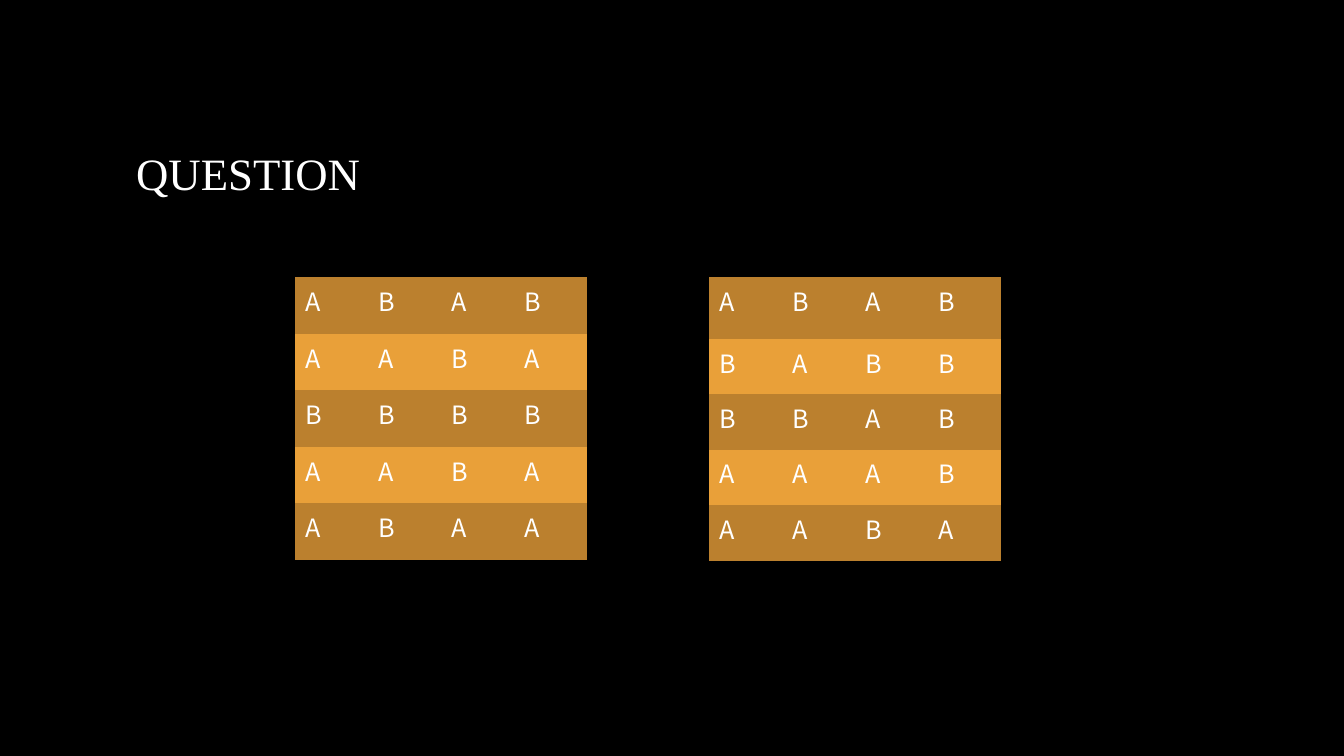
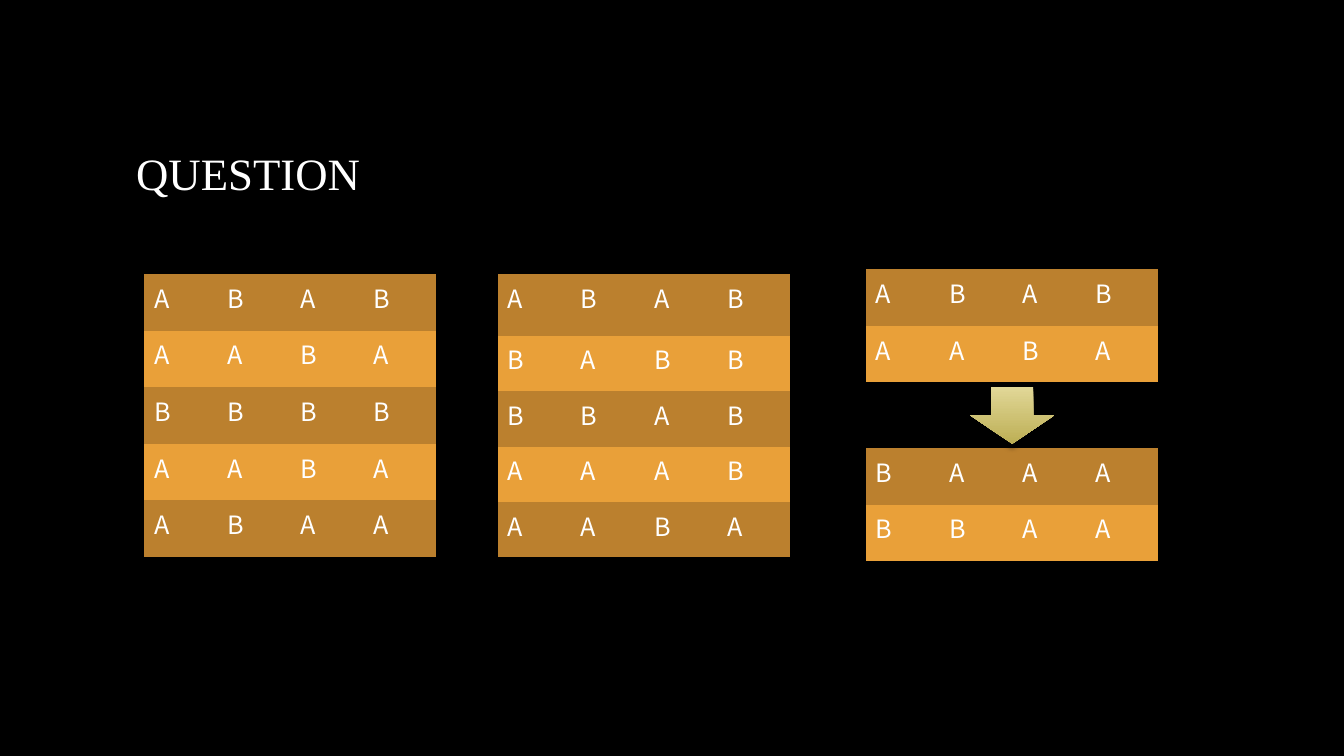
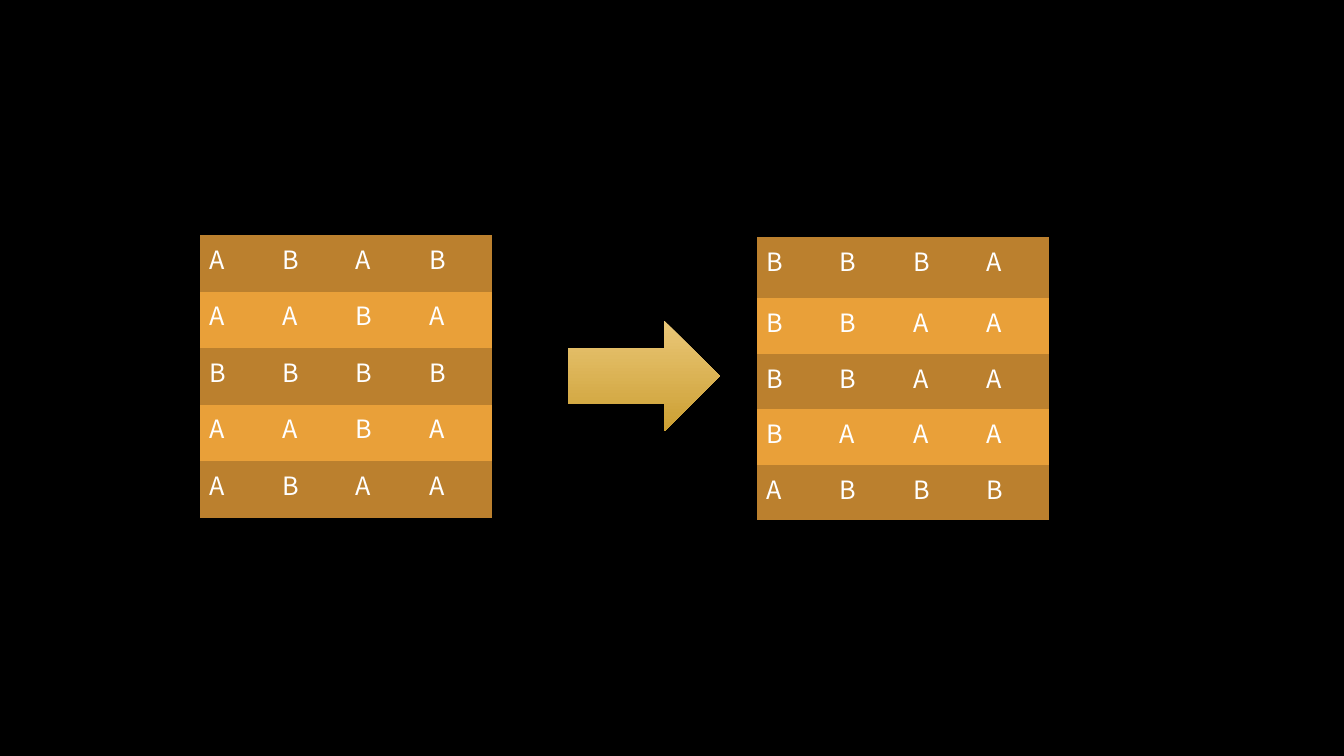
from dataclasses import dataclass

from lxml.etree import SubElement
from pptx import Presentation
from pptx.dml.color import RGBColor
from pptx.enum.shapes import MSO_SHAPE
from pptx.enum.text import MSO_ANCHOR, PP_ALIGN
from pptx.oxml.ns import qn
from pptx.slide import Slide
from pptx.util import Pt

# Shared look
BLACK, WHITE = "000000", "FFFFFF"
BANDS = ("BB802E", "E9A039")
TITLE_FONT, CELL_FONT = "Times New Roman", "Noto Sans CJK SC"
NO_STYLE = "{2D5ABB26-0587-4C30-8999-92F81FD0307C}"
TITLE_ONLY, BLANK = 5, 6
COLUMN_WIDTH, ROW_HEIGHT = 52.2, 40.4
TALL_ROW, SHORT_ROW = 44, 39.6

# Letter grids, one word per row
FIRST = "ABAB AABA BBBB AABA ABAA"
SECOND = "ABAB BABB BBAB AAAB AABA"
PAIR = "ABAB AABA"
PAIR_RESULT = "BAAA BBAA"
RESULT = "BBBA BBAA BBAA BAAA ABBB"


@dataclass
class Grid:
    letters: str
    left: float
    top: float
    first_row: float = ROW_HEIGHT
    other_rows: float = ROW_HEIGHT


@dataclass
class Arrow:
    kind: MSO_SHAPE
    left: float
    top: float
    width: float
    height: float
    light: str
    dark: str


@dataclass
class Page:
    title: str
    grids: list[Grid]
    arrows: list[Arrow]


PAGES = [
    Page("QUESTION", [
        Grid(FIRST, 210.8, 198),
        Grid(SECOND, 506.4, 198, TALL_ROW, SHORT_ROW),
    ], []),
    Page("QUESTION", [
        Grid(FIRST, 103, 195.8),
        Grid(SECOND, 355.6, 195.8, TALL_ROW, SHORT_ROW),
        Grid(PAIR, 618.5, 192.3),
        Grid(PAIR_RESULT, 618.5, 320),
    ], [Arrow(MSO_SHAPE.DOWN_ARROW, 693, 276.5, 60, 40.4, "E1D797", "BDAF55")]),
    Page("", [
        Grid(FIRST, 142.7, 167.9),
        Grid(RESULT, 540.6, 169.2, TALL_ROW, SHORT_ROW),
    ], [Arrow(MSO_SHAPE.RIGHT_ARROW, 406, 229, 108, 79.2, "EAC778", "CC9F32")]),
]


def rgb(value: str) -> RGBColor:
    return RGBColor.from_string(value)


def add_run(p, text: str, font: str, size: float) -> None:
    r = p.add_run()
    r.text = text
    r.font.name = font
    r.font.size = Pt(size)
    r.font.color.rgb = rgb(WHITE)


def set_title(s: Slide, text: str) -> None:
    sp = s.shapes.title
    sp.left, sp.top, sp.width, sp.height = Pt(90), Pt(48), Pt(780), Pt(150)
    tf = sp.text_frame
    tf.vertical_anchor = MSO_ANCHOR.MIDDLE
    p = tf.paragraphs[0]
    p.alignment = PP_ALIGN.LEFT
    add_run(p, text, TITLE_FONT, 32)


def draw_grid(s: Slide, grid: Grid) -> None:
    rows = grid.letters.split()
    columns = len(rows[0])
    height = grid.first_row + grid.other_rows * (len(rows) - 1)
    table = s.shapes.add_table(len(rows), columns, Pt(grid.left), Pt(grid.top),
                               Pt(COLUMN_WIDTH * columns), Pt(height)).table
    table.first_row = table.horz_banding = False
    table._tbl.tblPr.find(qn("a:tableStyleId")).text = NO_STYLE
    for column in table.columns:
        column.width = Pt(COLUMN_WIDTH)
    for i, row in enumerate(rows):
        table.rows[i].height = Pt(grid.other_rows if i else grid.first_row)
        for j, letter in enumerate(row):
            cell = table.cell(i, j)
            cell.fill.solid()
            cell.fill.fore_color.rgb = rgb(BANDS[i % 2])
            add_run(cell.text_frame.paragraphs[0], letter, CELL_FONT, 18)


def draw_arrow(s: Slide, arrow: Arrow) -> None:
    sp = s.shapes.add_shape(arrow.kind, Pt(arrow.left), Pt(arrow.top),
                            Pt(arrow.width), Pt(arrow.height))
    sp.line.fill.background()
    sp.fill.gradient()
    sp.fill.gradient_angle = 270
    for stop, color in zip(sp.fill.gradient_stops, (arrow.light, arrow.dark)):
        stop.color.rgb = rgb(color)
    # Soft shadow straight below
    sp.shadow.inherit = False
    effects = sp._element.spPr.find(qn("a:effectLst"))
    shadow = SubElement(effects, qn("a:outerShdw"), blurRad=str(Pt(4)),
                        dist=str(Pt(3)), dir="5400000", rotWithShape="0")
    color = SubElement(shadow, qn("a:srgbClr"), val=BLACK)
    SubElement(color, qn("a:alpha"), val="60000")


def main() -> None:
    prs = Presentation()
    prs.slide_width, prs.slide_height = Pt(960), Pt(540)
    background = prs.slide_master.background.fill
    background.solid()
    background.fore_color.rgb = rgb(BLACK)

    for page in PAGES:
        s = prs.slides.add_slide(prs.slide_layouts[TITLE_ONLY if page.title else BLANK])
        if page.title:
            set_title(s, page.title)
        for grid in page.grids:
            draw_grid(s, grid)
        for arrow in page.arrows:
            draw_arrow(s, arrow)
    prs.save("out.pptx")


if __name__ == "__main__":
    main()
